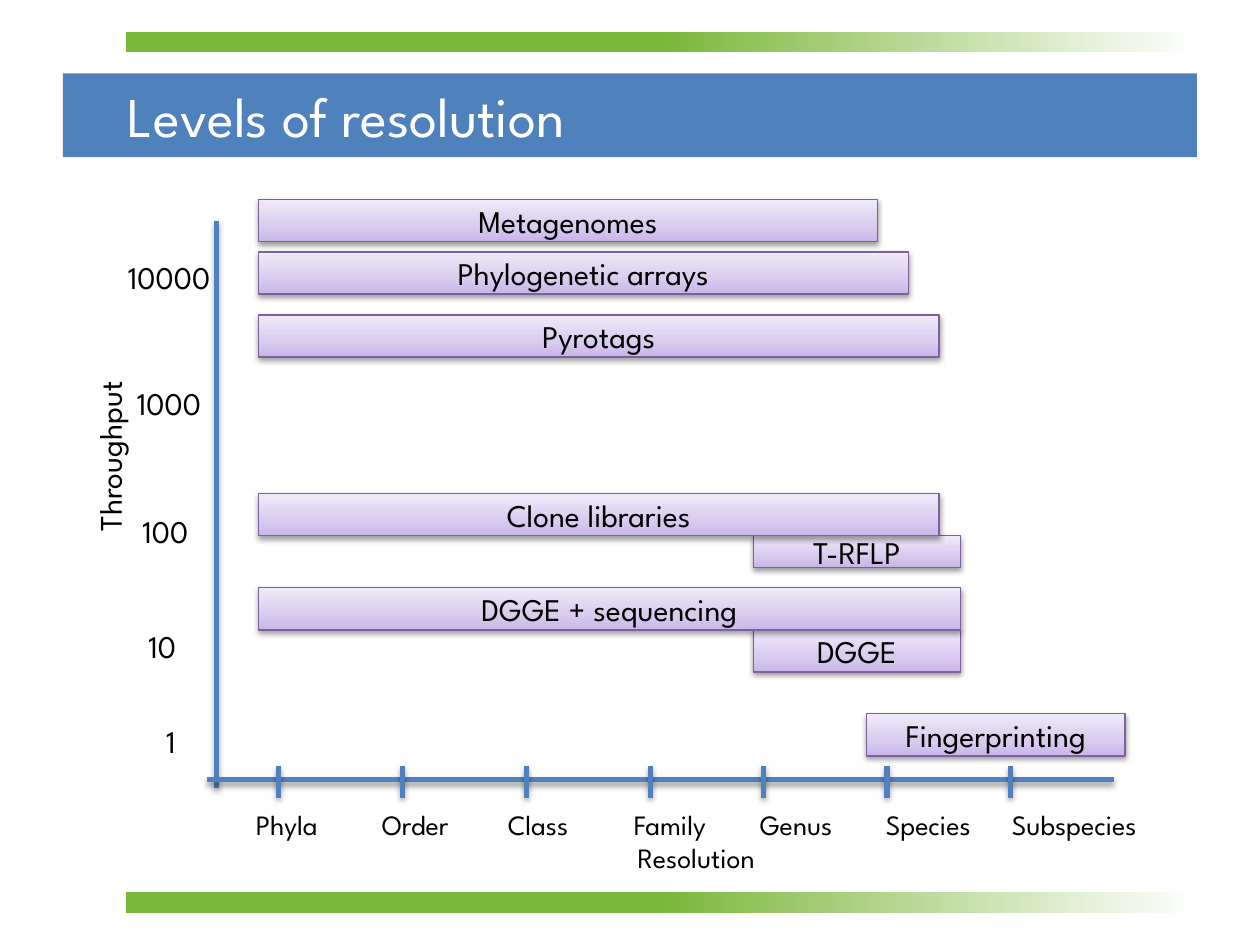
from lxml import etree
from pptx import Presentation
from pptx.dml.color import RGBColor
from pptx.enum.shapes import MSO_CONNECTOR, MSO_SHAPE
from pptx.enum.text import MSO_ANCHOR, MSO_AUTO_SIZE, PP_ALIGN
from pptx.util import Cm, Pt

RECT = MSO_SHAPE.RECTANGLE
STRAIGHT = MSO_CONNECTOR.STRAIGHT
MIDDLE = MSO_ANCHOR.MIDDLE
GROW = MSO_AUTO_SIZE.SHAPE_TO_FIT_TEXT
LEFT, CENTER = PP_ALIGN.LEFT, PP_ALIGN.CENTER
FONT = "League Spartan"
COLORS = {
    "blue": "4F81BD", "green": "7BB73B", "lime": "92DA46",
    "white": "FFFFFF", "black": "000000", "purple": "7D60A0",
    "lilac": "C9B5E8", "lilac_mid": "D8CBEE", "lilac_pale": "F0EAF9",
}
RGB = {name: RGBColor.from_string(value) for name, value in COLORS.items()}
NAMESPACE = 'xmlns:a="http://schemas.openxmlformats.org/drawingml/2006/main"'
GRADIENT = (f'<a:gradFill {NAMESPACE} rotWithShape="1"><a:gsLst>%s</a:gsLst>'
            '<a:lin ang="%d" scaled="0"/></a:gradFill>')
STOP = '<a:gs pos="%d"><a:srgbClr val="%s"/></a:gs>'
SHADOW = (f'<a:effectLst {NAMESPACE}><a:outerShdw blurRad="40000" dist="%d" '
          'dir="5400000" rotWithShape="0"><a:srgbClr val="000000">'
          '<a:alpha val="%d"/></a:srgbClr></a:outerShdw></a:effectLst>')
TABS = f'<a:tabLst {NAMESPACE}>%s</a:tabLst>'
TAB = '<a:tab pos="%d" algn="l"/>'


def add_gradient(shape, stops, degrees):
    marks = "".join(STOP % (percent * 1000, COLORS[name]) for percent, name in stops)
    shape._element.spPr.append(etree.fromstring(GRADIENT % (marks, degrees * 60000)))


def write(shape, lines, size, align=CENTER, color="black"):
    frame = shape.text_frame
    for index, line in enumerate(lines):
        para = frame.add_paragraph() if index else frame.paragraphs[0]
        para.alignment = align
        span = para.add_run()
        span.text = line
        span.font.name = FONT
        span.font.size = Pt(size)
        span.font.color.rgb = RGB[color]


deck = Presentation()
deck.slide_width, deck.slide_height = Cm(25.4), Cm(19.05)
page = deck.slides.add_slide(deck.slide_layouts[6])
shapes = page.shapes

# Title band and green stripes
band = shapes.add_shape(RECT, Cm(1.27), Cm(1.48), Cm(22.86), Cm(1.69))
band.fill.solid()
band.fill.fore_color.rgb = RGB["blue"]
band.line.fill.background()
band.shadow.inherit = False
for top in (0.64, 17.99):
    stripe = shapes.add_shape(RECT, Cm(2.54), Cm(top), Cm(21.59), Cm(0.42))
    add_gradient(stripe, [(50, "green"), (100, "white"), (100, "lime")], 0)
    stripe.line.fill.background()
    stripe.shadow.inherit = False

title = shapes.add_textbox(Cm(2.33), Cm(1.48), Cm(21.8), Cm(1.69))
title.text_frame.word_wrap = True
title.text_frame.vertical_anchor = MIDDLE
write(title, ["Levels of resolution"], 32, LEFT, "white")

# Axis titles and category labels, one tab stop per category
throughput = shapes.add_textbox(Cm(-8.69), Cm(8.69), Cm(21.8), Cm(1.02))
throughput.rotation = 270
throughput.text_frame.word_wrap = True
write(throughput, ["Throughput"], 18)

levels = ["Phyla", "Order", "Class", "Family", "Genus", "Species", "Subspecies"]
categories = shapes.add_textbox(Cm(4.37), Cm(16.15), Cm(19.33), Cm(1.63))
categories.text_frame.word_wrap = True
write(categories, ["\t".join(levels), "Resolution"], 16)
tabs = "".join(TAB % Cm(2.54 * i) for i in range(1, len(levels)))
label_para = categories.text_frame.paragraphs[0]
label_para._p.get_or_add_pPr().append(etree.fromstring(TABS % tabs))

# Throughput scale
for label, left, top, width in [
    ("10000", 2.33, 5.08, 2.26), ("1000", 2.51, 7.62, 1.9),
    ("100", 2.62, 10.19, 1.55), ("10", 2.74, 12.52, 1.19), ("1", 3.1, 14.43, 0.86),
]:
    box = shapes.add_textbox(Cm(left), Cm(top), Cm(width), Cm(1.02))
    box.text_frame.word_wrap = False
    box.text_frame.auto_size = GROW
    write(box, [label], 18, LEFT)

# Axes and ticks
ticks = [5.61 + 2.5 * i for i in range(4)] + [15.39 + 2.49 * i for i in range(3)]
axes = [(4.37, 4.45, 4.37, 15.88), (4.17, 15.72, 22.45, 15.72)]
for ends in axes + [(x, 15.44, x, 16.08) for x in ticks]:
    line = shapes.add_connector(STRAIGHT, *[Cm(end) for end in ends])
    line.line.color.rgb = RGB["blue"]
    line.line.width = Pt(3)
    line._element.spPr.append(etree.fromstring(SHADOW % (23000, 35000)))

# Method bars, from back to front
for method, left, top, width, height in [
    ("DGGE", 15.19, 12.7, 4.17, 0.85),
    ("T-RFLP", 15.19, 10.8, 4.17, 0.64),
    ("Clone libraries", 5.21, 9.95, 13.72, 0.85),
    ("Phylogenetic arrays", 5.21, 5.08, 13.1, 0.85),
    ("Pyrotags", 5.21, 6.35, 13.72, 0.85),
    ("Fingerprinting", 17.47, 14.39, 5.21, 0.85),
    ("DGGE + sequencing", 5.21, 11.85, 14.15, 0.85),
    ("Metagenomes", 5.21, 4.02, 12.48, 0.85),
]:
    bar = shapes.add_shape(RECT, Cm(left), Cm(top), Cm(width), Cm(height))
    add_gradient(bar, [(0, "lilac"), (35, "lilac_mid"), (100, "lilac_pale")], 270)
    bar.line.color.rgb = RGB["purple"]
    bar.line.width = Pt(0.75)
    bar._element.spPr.append(etree.fromstring(SHADOW % (20000, 38000)))
    bar.text_frame.vertical_anchor = MIDDLE
    write(bar, [method], 18)

deck.save("out.pptx")
